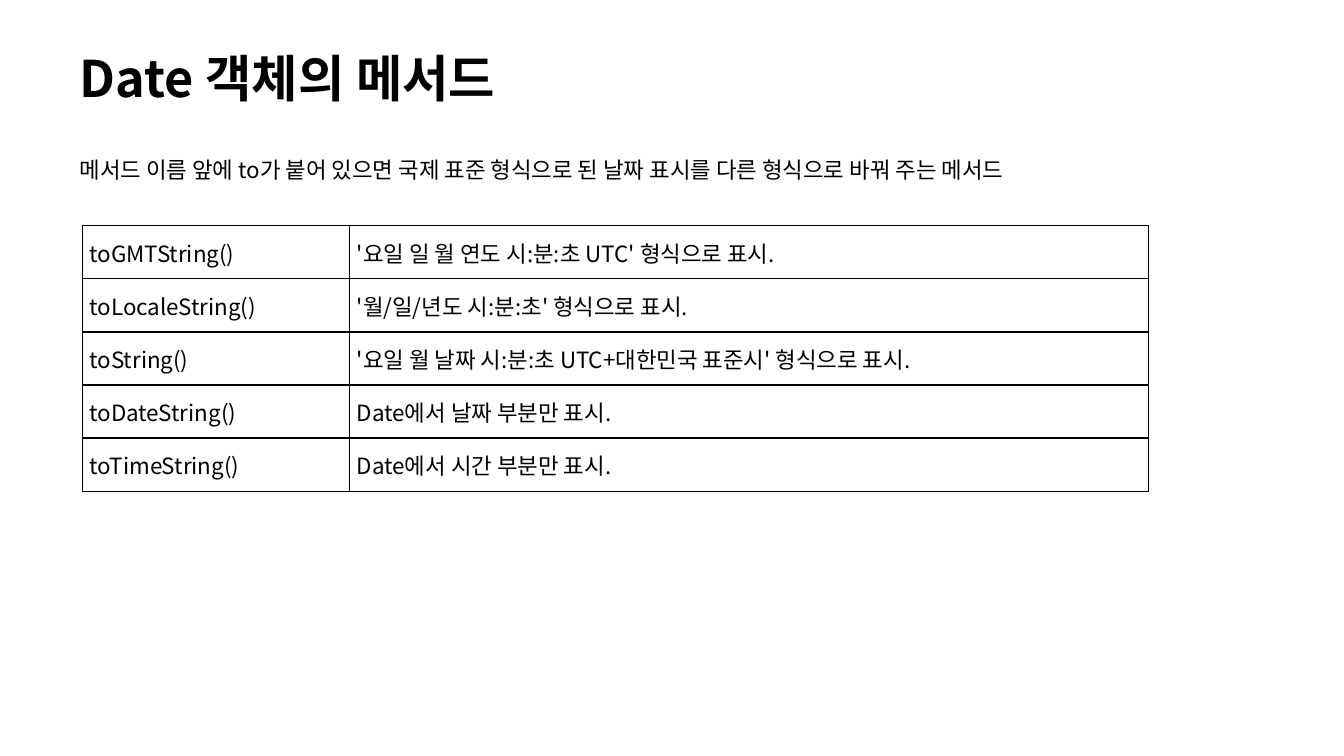
from lxml.etree import SubElement
from pptx import Presentation
from pptx.dml.color import RGBColor
from pptx.enum.text import MSO_ANCHOR, MSO_AUTO_SIZE, PP_ALIGN
from pptx.oxml.ns import qn
from pptx.util import Inches, Pt

COLORS = {"text": "000000", "border": "000000"}
KOREAN, LATIN = "Noto Sans CJK KR", "Calibri"

TITLE = "Date 객체의 메서드"
DESCRIPTION = [
    ("메서드 이름 앞에 to가 붙어 있으면 ", KOREAN),
    ("국제 표준 형식으로 된 날짜 표시를 다른 형식으로 바꿔 주는 메서드", LATIN),
]
METHODS = [
    ("toGMTString()", "'요일 일 월 연도 시:분:초 UTC' 형식으로 표시."),
    ("toLocaleString()", "'월/일/년도 시:분:초' 형식으로 표시."),
    ("toString()", "'요일 월 날짜 시:분:초 UTC+대한민국 표준시' 형식으로 표시."),
    ("toDateString()", "Date에서 날짜 부분만 표시."),
    ("toTimeString()", "Date에서 시간 부분만 표시."),
]


class MethodPage:
    """Style and current slide; lengths are percentages of the slide's size."""

    def __init__(self, deck):
        self.deck = deck
        self.page = deck.slides.add_slide(deck.slide_layouts[5])

    def across(self, share):
        return round(self.deck.slide_width * share / 100)

    def down(self, share):
        return round(self.deck.slide_height * share / 100)

    def place(self, left, top, width, height):
        return self.across(left), self.down(top), self.across(width), self.down(height)

    def typeface(self, font, latin):
        font.name = latin
        SubElement(font._element, qn("a:ea"), typeface=KOREAN)

    def style(self, para, size, bold=False):
        para.alignment = PP_ALIGN.LEFT
        para.font.size = Pt(size)
        para.font.bold = bold
        para.font.color.rgb = RGBColor.from_string(COLORS["text"])

    def title(self, text, *area):
        box = self.page.shapes.title
        box.left, box.top, box.width, box.height = self.place(*area)
        box.text_frame.text = text
        box.text_frame.vertical_anchor = MSO_ANCHOR.MIDDLE
        para = box.text_frame.paragraphs[0]
        para.line_spacing = 0.9
        self.style(para, 36, bold=True)
        self.typeface(para.font, KOREAN)

    def description(self, parts, *area):
        box = self.page.shapes.add_textbox(*self.place(*area))
        box.text_frame.word_wrap = True
        box.text_frame.auto_size = MSO_AUTO_SIZE.SHAPE_TO_FIT_TEXT
        para = box.text_frame.paragraphs[0]
        self.style(para, 16)
        for text, latin in parts:
            span = para.add_run()
            span.text = text
            self.typeface(span.font, latin)

    def cell(self, cell, text):
        cell.text = text
        cell.vertical_anchor = MSO_ANCHOR.MIDDLE
        cell.margin_left = cell.margin_right = Inches(0.07)
        cell.margin_top = cell.margin_bottom = 0
        para = cell.text_frame.paragraphs[0]
        self.style(para, 16)
        self.typeface(para.font, KOREAN)
        # Borders come before the fill in the cell properties
        properties = cell._tc.get_or_add_tcPr()
        for side in ("lnL", "lnR", "lnT", "lnB"):
            line = SubElement(properties, qn(f"a:{side}"), w=str(Pt(1)))
            fill = SubElement(line, qn("a:solidFill"))
            SubElement(fill, qn("a:srgbClr"), val=COLORS["border"])
        cell.fill.background()

    def table(self, rows, left, top, column_widths, row_height):
        area = self.place(left, top, sum(column_widths), row_height * len(rows))
        table = self.page.shapes.add_table(len(rows), len(column_widths), *area).table
        table.first_row = table.horz_banding = False
        for column, width in zip(table.columns, column_widths):
            column.width = self.across(width)
        for row, texts in zip(table.rows, rows):
            row.height = self.down(row_height)
            for cell, text in zip(row.cells, texts):
                self.cell(cell, text)


def main():
    deck = Presentation()
    deck.slide_width, deck.slide_height = Inches(13.33), Inches(7.5)
    page = MethodPage(deck)

    # Heading and explanation
    page.title(TITLE, 5.18, 4.67, 73.07, 12.27)
    page.description(DESCRIPTION, 5.18, 20, 89.05, 4.93)

    # Conversion methods and their formats
    page.table(METHODS, 6.15, 29.87, (19.88, 59.42), 7.02)

    deck.save("out.pptx")


if __name__ == "__main__":
    main()
